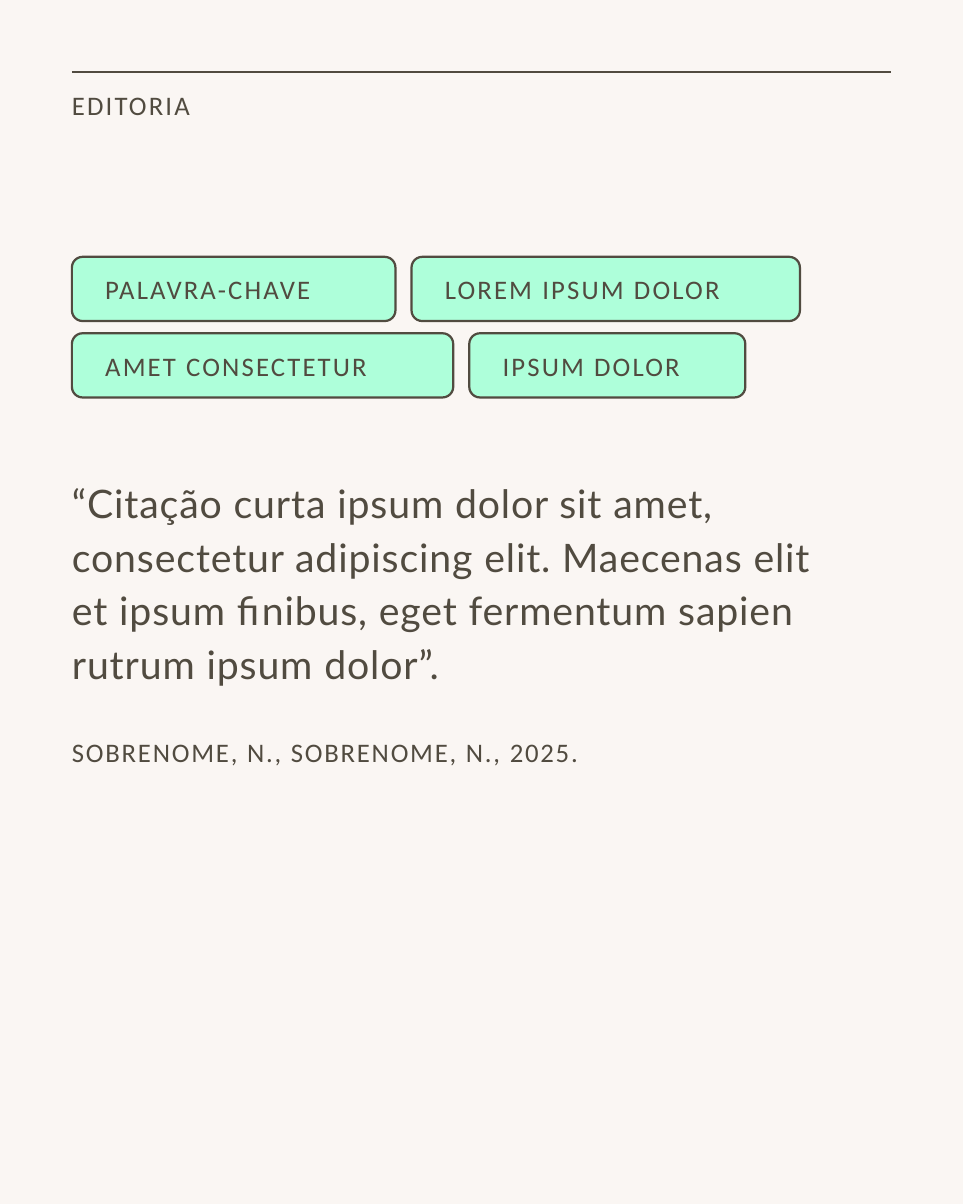
from pptx import Presentation
from pptx.dml.color import RGBColor
from pptx.enum.shapes import MSO_CONNECTOR, MSO_SHAPE
from pptx.enum.text import MSO_ANCHOR, MSO_AUTO_SIZE, PP_ALIGN
from pptx.oxml.ns import qn
from pptx.util import Pt
from lxml.etree import SubElement

# Content
SECTION = "EDITORIA"
KEYWORD_ROWS = [  # (label, width in px)
    [("PALAVRA-CHAVE", 504), ("LOREM IPSUM DOLOR", 605)],
    [("AMET CONSECTETUR", 594), ("IPSUM DOLOR", 430)],
]
QUOTE = ("“Citação curta ipsum dolor sit amet, consectetur adipiscing elit. "
         "Maecenas elit et ipsum finibus, eget fermentum sapien rutrum ipsum dolor”.")
SOURCE = "SOBRENOME, N., SOBRENOME, N., 2025."


class Theme:
    paper = RGBColor.from_string("FAF6F3")
    ink = RGBColor.from_string("514B40")
    mint = RGBColor.from_string("AEFFDA")
    # (font, size, letter spacing), all in points
    label = ("Calibri", 30, 2.4)
    quote = ("Lato", 44, 1)
    source = ("Calibri", 30, 2)
    stroke = Pt(2.5)


# Layout, at 100 px to the inch
WIDTH, HEIGHT = 1500, 1875
MARGIN = 112
INNER = WIDTH - 2 * MARGIN
TAG_TOP, TAG_HEIGHT, TAG_GAP, ROW_STEP = 400, 100, 25, 119


def px(n):
    return n * 9144


def set_frame(tf, left=0, top=0, right=0, bottom=0, anchor=MSO_ANCHOR.TOP):
    tf.margin_left, tf.margin_top = px(left), px(top)
    tf.margin_right, tf.margin_bottom = px(right), px(bottom)
    tf.vertical_anchor = anchor
    tf.word_wrap = True
    tf.auto_size = MSO_AUTO_SIZE.NONE


def write(p, text, style):
    font, size, spacing = style
    p.text = text
    p.alignment = PP_ALIGN.LEFT
    r = p.runs[0]
    r.font.name, r.font.size = font, Pt(size)
    r.font.color.rgb = Theme.ink
    r.font._element.set("spc", str(round(spacing * 100)))


def add_tag(slide, text, x, y, w):
    s = slide.shapes.add_shape(MSO_SHAPE.ROUNDED_RECTANGLE,
                               px(x), px(y), px(w), px(TAG_HEIGHT))
    s.shadow.inherit = False
    s.fill.solid()
    s.fill.fore_color.rgb = Theme.mint
    s.line.color.rgb, s.line.width = Theme.ink, Theme.stroke
    set_frame(s.text_frame, 47, 20, 0, 20, MSO_ANCHOR.MIDDLE)
    write(s.text_frame.paragraphs[0], text, Theme.label)


def main():
    prs = Presentation()
    prs.slide_width, prs.slide_height = px(WIDTH), px(HEIGHT)
    slide = prs.slides.add_slide(prs.slide_layouts[5])
    slide.background.fill.solid()
    slide.background.fill.fore_color.rgb = Theme.paper

    # Top rule
    rule = slide.shapes.add_connector(MSO_CONNECTOR.STRAIGHT, px(MARGIN), px(112),
                                      px(WIDTH - MARGIN), px(112))
    rule.line.color.rgb, rule.line.width = Theme.ink, Theme.stroke
    SubElement(rule._element.spPr, qn("a:effectLst"))

    # Section name
    title = slide.shapes.title
    title.left, title.top, title.width, title.height = map(px, (MARGIN, 138, INNER, 51))
    set_frame(title.text_frame)
    write(title.text_frame.paragraphs[0], SECTION, Theme.label)

    # Keyword tags, flowing from the left in each row
    for i, row in enumerate(KEYWORD_ROWS):
        x = MARGIN
        for text, w in row:
            add_tag(slide, text, x, TAG_TOP + i * ROW_STEP, w)
            x += w + TAG_GAP

    # Quote and its source
    box = slide.shapes.add_textbox(px(MARGIN), px(619), px(INNER), px(679))
    tf = box.text_frame
    set_frame(tf, top=118, right=59)
    p = tf.paragraphs[0]
    write(p, QUOTE, Theme.quote)
    p.line_spacing = Pt(60)
    p = tf.add_paragraph()
    write(p, SOURCE, Theme.source)
    p.line_spacing = p.space_before = Pt(45)

    prs.save("out.pptx")


if __name__ == "__main__":
    main()
